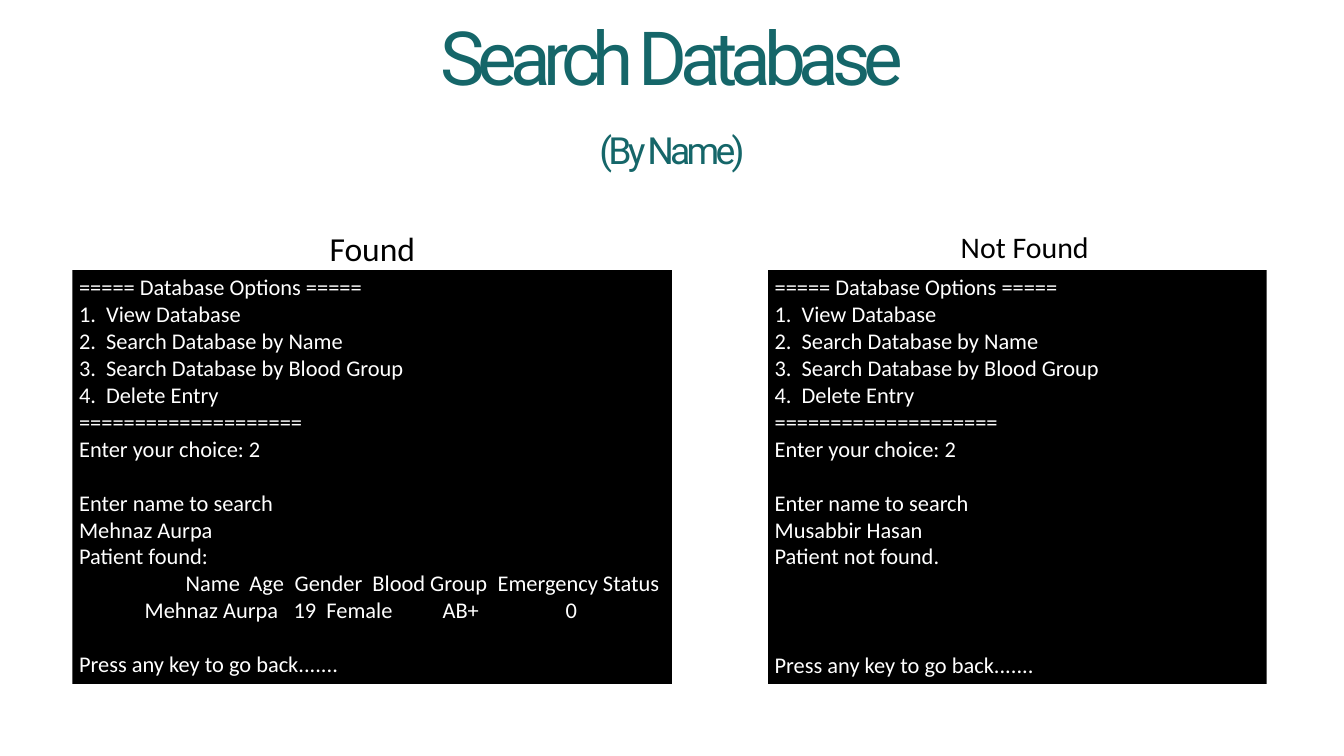
from lxml.etree import SubElement
from pptx import Presentation
from pptx.dml.color import RGBColor
from pptx.enum.shapes import MSO_SHAPE
from pptx.enum.text import MSO_ANCHOR, MSO_AUTO_SIZE, PP_ALIGN
from pptx.oxml.ns import qn
from pptx.util import Cm, Pt

TEAL = "156669"
BLACK = "000000"
WHITE = "FFFFFF"
TERMINAL_LINE = 29.3
NUMBER_TABS = [1.02]
HEADING_TABS = [4.03, 6.44, 8.15, 11.09, 15.82]
RECORD_TABS = [2.48, 8.11, 9.35, 13.74, 18.39]

MENU = [
    ("===== Database Options =====", 0, []),
    ("1.\tView Database", 0, NUMBER_TABS),
    ("2.\tSearch Database by Name", 0, NUMBER_TABS),
    ("3.\tSearch Database by Blood Group", 0, NUMBER_TABS),
    ("4.\tDelete Entry", 0, NUMBER_TABS),
    ("====================", 0, []),
    ("Enter your choice: 2", 0, []),
    ("Enter name to search", 1, []),
]
FOUND = [
    ("Mehnaz Aurpa", 0, []),
    ("Patient found:", 0, []),
    ("\tName\tAge\tGender\tBlood Group\tEmergency Status", 0, HEADING_TABS),
    ("\tMehnaz Aurpa\t19\tFemale\tAB+\t0", 0, RECORD_TABS),
    ("Press any key to go back.......", 1, []),
]
NOT_FOUND = [
    ("Musabbir Hasan", 0, []),
    ("Patient not found.", 0, []),
    ("Press any key to go back.......", 3, []),
]


def color(value):
    return RGBColor.from_string(value)


def place(shape, left, top, width, height):
    shape.left, shape.top = Cm(left), Cm(top)
    shape.width, shape.height = Cm(width), Cm(height)


def prepare_frame(shape):
    frame = shape.text_frame
    frame.word_wrap = True
    frame.auto_size = MSO_AUTO_SIZE.NONE
    frame.vertical_anchor = MSO_ANCHOR.TOP
    return frame


def next_paragraph(frame, index, alignment):
    para = frame.add_paragraph() if index else frame.paragraphs[0]
    para.alignment = alignment
    return para


def add_span(para, text, size, font, fill):
    span = para.add_run()
    span.text = text
    span.font.size = Pt(size)
    span.font.name = font
    span.font.color.rgb = color(fill)
    return span


def add_tabs(para, positions):
    tabs = SubElement(para._p.get_or_add_pPr(), qn("a:tabLst"))
    for position in positions:
        SubElement(tabs, qn("a:tab"), pos=str(Cm(position)), algn="l")


def fill_title(page, lines):
    title = page.shapes.title
    place(title, 0, 1.09, 50.8, 5.13)
    frame = prepare_frame(title)
    frame.margin_left = frame.margin_right = 0
    frame.margin_top = frame.margin_bottom = 0
    for index, (text, size, spacing) in enumerate(lines):
        para = next_paragraph(frame, index, PP_ALIGN.CENTER)
        para.line_spacing = Pt(76.8)
        span = add_span(para, text, size, "Roboto", TEAL)
        span.font._element.set("spc", str(spacing))


def add_terminal(page, left, width, lines):
    box = page.shapes.add_shape(
        MSO_SHAPE.RECTANGLE, Cm(left), Cm(10.21), Cm(width), Cm(15.65))
    box.shadow.inherit = False
    box.fill.solid()
    box.fill.fore_color.rgb = color(BLACK)
    box.line.fill.background()
    frame = prepare_frame(box)
    for index, (text, gap, tabs) in enumerate(lines):
        para = next_paragraph(frame, index, PP_ALIGN.LEFT)
        if gap:
            para.space_before = Pt(gap * TERMINAL_LINE)
        if tabs:
            add_tabs(para, tabs)
        add_span(para, text, 24, "Calibri", WHITE)


def add_label(page, left, height, text, size):
    box = page.shapes.add_textbox(Cm(left), Cm(8.51), Cm(8.89), Cm(height))
    para = next_paragraph(prepare_frame(box), 0, PP_ALIGN.CENTER)
    add_span(para, text, size, "Calibri", BLACK)


def main():
    deck = Presentation()
    deck.slide_width, deck.slide_height = Cm(50.8), Cm(28.58)
    page = deck.slides.add_slide(deck.slide_layouts.get_by_name("Title Only"))
    fill_title(page, [("Search Database", 80, -770), ("(By Name)", 40, -400)])
    add_terminal(page, 2.74, 22.66, MENU + FOUND)
    add_terminal(page, 29.03, 18.85, MENU + NOT_FOUND)
    add_label(page, 9.63, 1.8, "Found", 36)
    add_label(page, 34.29, 1.63, "Not Found", 32)
    deck.save("out.pptx")


if __name__ == "__main__":
    main()
